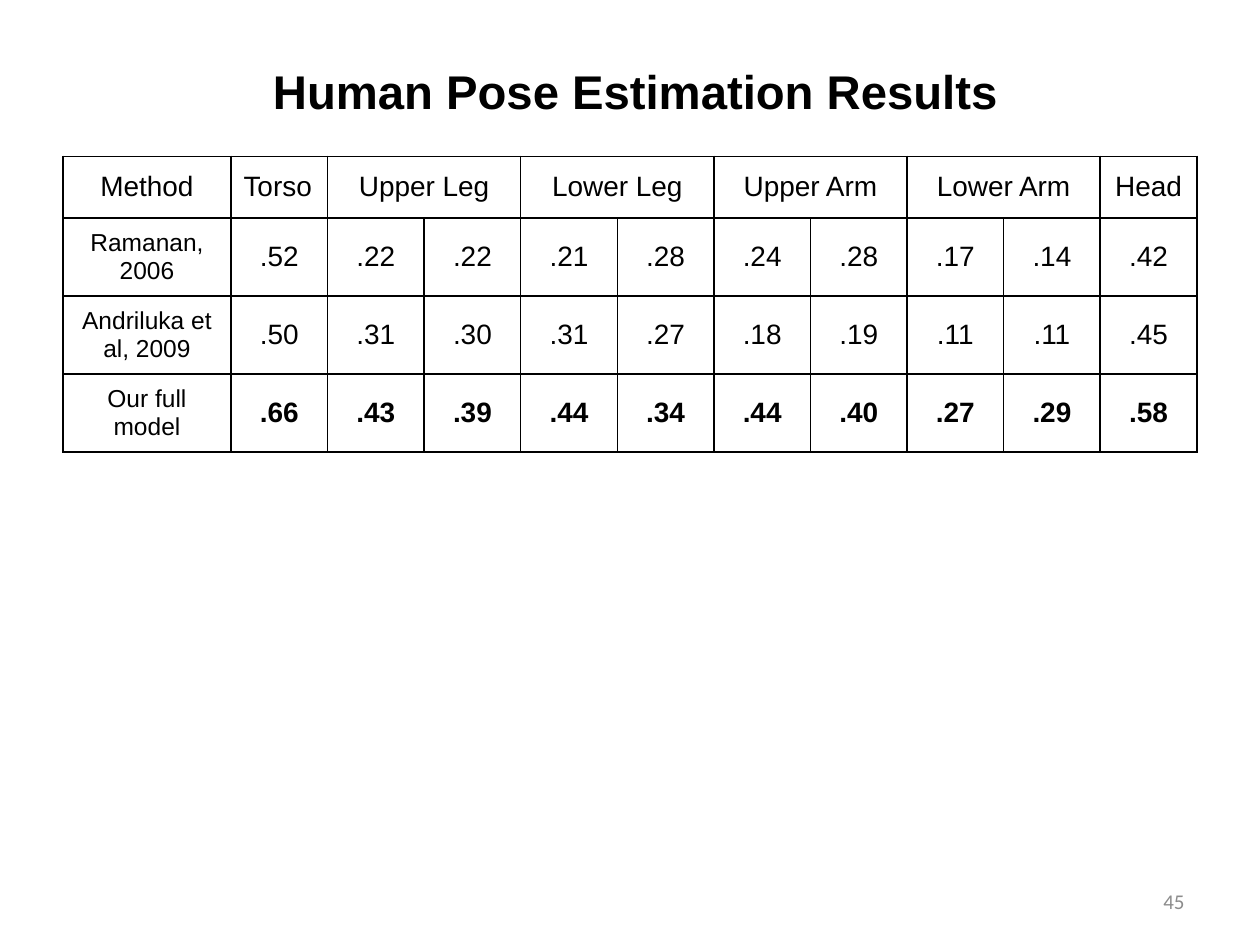
from dataclasses import dataclass

from lxml import etree
from pptx import Presentation
from pptx import util as u
from pptx.dml.color import RGBColor
from pptx.enum import text
from pptx.oxml import ns


@dataclass(frozen=True)
class Theme:
    font: str = "Arial"
    number_font: str = "Calibri"
    ink: str = "000000"
    muted: str = "8C8C8C"
    title_size: int = 27
    cell_size: int = 16
    method_size: int = 14
    number_size: int = 12
    border: int = 1


THEME = Theme()
CENTER = text.PP_ALIGN.CENTER
HEADERS = [("Method", 1), ("Torso", 1), ("Upper Leg", 2), ("Lower Leg", 2),
           ("Upper Arm", 2), ("Lower Arm", 2), ("Head", 1)]
RESULTS = [
    ("Ramanan, 2006", ".52 .22 .22 .21 .28 .24 .28 .17 .14 .42"),
    ("Andriluka et al, 2009", ".50 .31 .30 .31 .27 .18 .19 .11 .11 .45"),
    ("Our full model", ".66 .43 .39 .44 .34 .44 .40 .27 .29 .58"),
]
COLUMNS = [96] + [55.2] * 10
ROWS = [35.2] + [44.6] * 3


def write(frame, words, *, size=THEME.cell_size, font=THEME.font,
          color=THEME.ink, bold=False, align=CENTER):
    para = frame.paragraphs[0]
    para.alignment = align
    span = para.add_run()
    span.text = words
    span.font.size = u.Pt(size)
    span.font.name = font
    span.font.bold = bold
    span.font.color.rgb = RGBColor.from_string(color)


class SlideBuilder:
    def __init__(self, deck, theme):
        self.theme = theme
        self.page = deck.slides.add_slide(deck.slide_layouts[5])

    def prepare(self, box):
        frame = box.text_frame
        frame.word_wrap = True
        frame.auto_size = text.MSO_AUTO_SIZE.NONE
        frame.vertical_anchor = text.MSO_ANCHOR.MIDDLE
        return frame

    def title(self, words, left, top, width, height):
        box = self.page.shapes.title
        box.left, box.top = u.Pt(left), u.Pt(top)
        box.width, box.height = u.Pt(width), u.Pt(height)
        write(self.prepare(box), words, size=self.theme.title_size, bold=True)

    def page_number(self, words, left, top, width, height):
        box = self.page.shapes.add_textbox(*map(u.Pt, (left, top, width, height)))
        write(self.prepare(box), words, size=self.theme.number_size,
              font=self.theme.number_font, color=self.theme.muted,
              align=text.PP_ALIGN.RIGHT)

    def outline(self, cell):
        properties = cell._tc.get_or_add_tcPr()
        for side in ("a:lnL", "a:lnR", "a:lnT", "a:lnB"):
            line = etree.SubElement(properties, ns.qn(side),
                                    w=str(u.Pt(self.theme.border)))
            fill = etree.SubElement(line, ns.qn("a:solidFill"))
            etree.SubElement(fill, ns.qn("a:srgbClr"), val=self.theme.ink)

    def table(self, left, top, columns, rows):
        grid = self.page.shapes.add_table(
            len(rows), len(columns), u.Pt(left), u.Pt(top),
            u.Pt(sum(columns)), u.Pt(sum(rows))).table
        grid.first_row = grid.horz_banding = False
        for column, width in zip(grid.columns, columns):
            column.width = u.Pt(width)
        for row, height in zip(grid.rows, rows):
            row.height = u.Pt(height)
        for cell in grid.iter_cells():
            self.outline(cell)
            cell.fill.background()
            cell.vertical_anchor = text.MSO_ANCHOR.MIDDLE
        return grid

    def results(self, left, top):
        grid = self.table(left, top, COLUMNS, ROWS)
        column = 0
        for label, width in HEADERS:
            cell = grid.cell(0, column)
            if width > 1:
                cell.merge(grid.cell(0, column + width - 1))
            align = text.PP_ALIGN.LEFT if label == "Torso" else CENTER
            write(cell.text_frame, label, align=align)
            column += width
        for row, (method, scores) in enumerate(RESULTS, 1):
            write(grid.cell(row, 0).text_frame, method, size=self.theme.method_size)
            for column, score in enumerate(scores.split(), 1):
                write(grid.cell(row, column).text_frame, score,
                      bold=row == len(RESULTS))


def main():
    deck = Presentation()
    deck.slide_width, deck.slide_height = u.Pt(720), u.Pt(540)
    slide = SlideBuilder(deck, THEME)
    slide.page_number("45", 516, 500.5, 168, 28.8)
    slide.title("Human Pose Estimation Results", 54, 30.5, 618, 42)
    slide.results(36, 89.3)
    deck.save("out.pptx")


if __name__ == "__main__":
    main()
